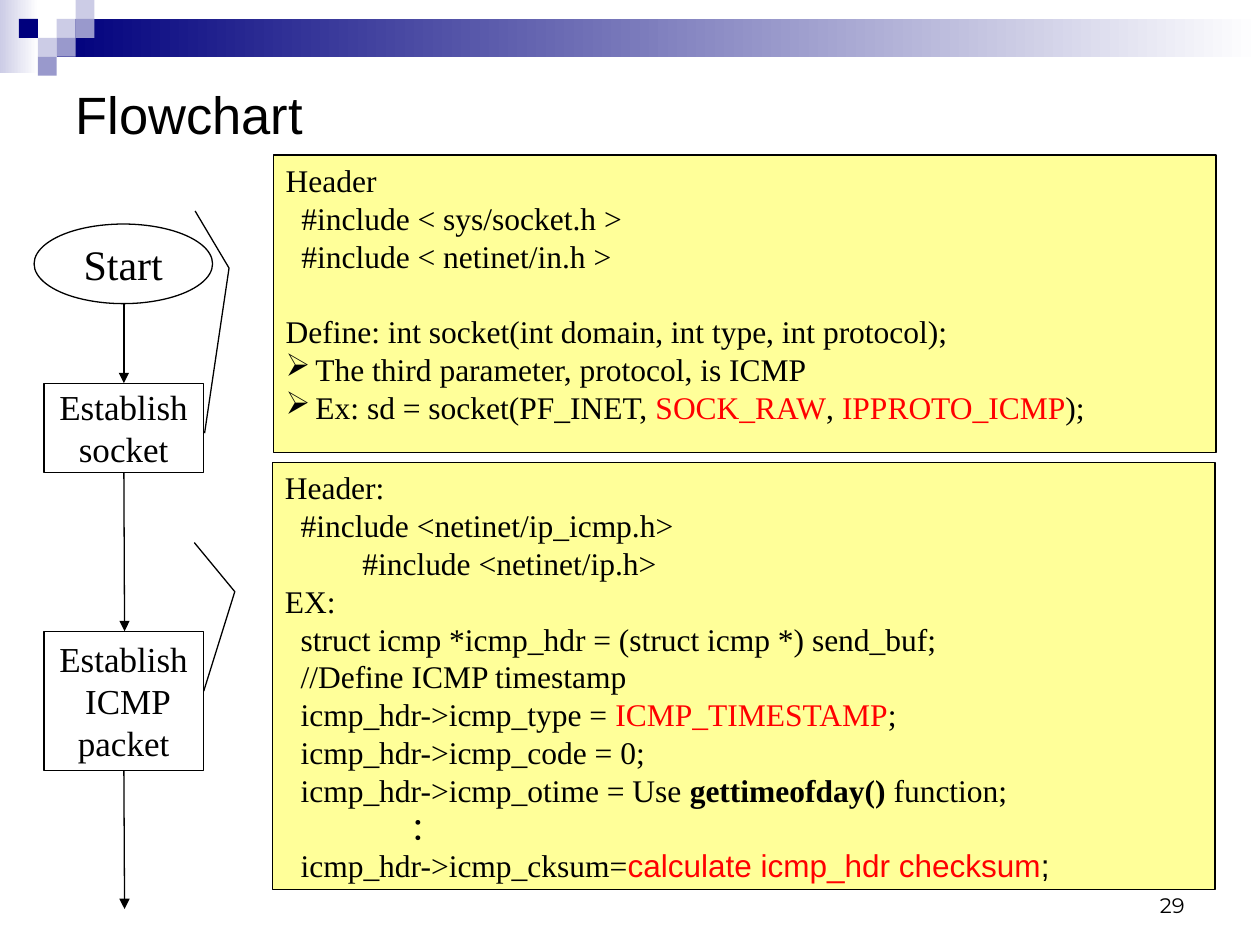
from lxml import etree
from pptx import Presentation
from pptx.dml.color import RGBColor
from pptx.enum import dml, shapes, text
from pptx.oxml.ns import qn
from pptx.util import Pt

BLACK, RED, WHITE, YELLOW = "000000", "FF0000", "FFFFFF", "FFFF99"
NAVY, LILAC, PALE = "00007D", "9999CC", "CCCCE6"
SERIF, SANS = "Times New Roman", "Arial"
rgb = RGBColor.from_string


def add_box(kind, left, top, width, height, fill, outline=None):
    box = slide.shapes.add_shape(kind, Pt(left), Pt(top), Pt(width), Pt(height))
    box.shadow.inherit = False
    if isinstance(fill, tuple):
        box.fill.gradient()
        box.fill.gradient_angle = 0
        for stop, color in zip(box.fill.gradient_stops, fill):
            stop.color.rgb = rgb(color)
    else:
        box.fill.solid()
        box.fill.fore_color.rgb = rgb(fill)
    if outline:
        box.line.color.rgb = rgb(outline)
        box.line.width = Pt(0.75)
    else:
        box.line.fill.background()
    return box


def add_run(paragraph, words, size, font=SERIF, color=BLACK, bold=None):
    run = paragraph.add_run()
    run.text = words
    run.font.size = Pt(size)
    run.font.name = font
    run.font.color.rgb = rgb(color)
    run.font.bold = bold


prs = Presentation()
prs.slide_width, prs.slide_height = Pt(720), Pt(540)
slide = prs.slides.add_slide(prs.slide_layouts[5])

# Banner: two fading bars and a mosaic of squares on a grid
RECT = shapes.MSO_SHAPE.RECTANGLE
add_box(RECT, 0, 0, 22, 42, (PALE, WHITE))
add_box(RECT, 32.4, 10.8, 687.6, 21.6, (NAVY, WHITE))
SQUARE = 10.8
for column, row, color in [(3, 1, PALE), (4, 0, PALE), (4, 1, LILAC), (2, 2, PALE),
                           (1, 1, NAVY), (3, 2, LILAC), (2, 3, LILAC)]:
    add_box(RECT, column * SQUARE, row * SQUARE, SQUARE, SQUARE, color)

# Title
title = slide.shapes.title
title.left, title.top, title.width, title.height = Pt(36), Pt(36), Pt(648), Pt(58)
title.text_frame.vertical_anchor = text.MSO_ANCHOR.MIDDLE
heading = title.text_frame.paragraphs[0]
heading.alignment = text.PP_ALIGN.LEFT
add_run(heading, "Flowchart", 30, SANS)

# Flowchart steps
PROCESS = shapes.MSO_SHAPE.FLOWCHART_PROCESS
steps = [
    (shapes.MSO_SHAPE.OVAL, 19.5, 128, 102, 45.5, 24, ["Start"]),
    (PROCESS, 25.2, 219, 91, 51, 20, ["Establish", "socket"]),
    (PROCESS, 25.2, 360.7, 91, 79.5, 20, ["Establish", " ICMP", "packet"]),
]
for kind, left, top, width, height, size, lines in steps:
    step = add_box(kind, left, top, width, height, WHITE, BLACK)
    frame = step.text_frame
    frame.word_wrap = False
    frame.vertical_anchor = text.MSO_ANCHOR.MIDDLE
    for i, line in enumerate(lines):
        paragraph = frame.add_paragraph() if i else frame.paragraphs[0]
        paragraph.alignment = text.PP_ALIGN.CENTER
        paragraph.line_spacing = Pt(size * 1.2)
        add_run(paragraph, line, size)

# Arrows between the steps
for start, end, end_x in [(173.5, 219, 70.8), (270, 360.7, 71.2), (440.2, 519.5, 71.2)]:
    arrow = slide.shapes.add_connector(shapes.MSO_CONNECTOR.STRAIGHT,
                                       Pt(70.8), Pt(start), Pt(end_x), Pt(end))
    arrow.line.color.rgb = rgb(BLACK)
    arrow.line.width = Pt(0.75)
    etree.SubElement(arrow.line._get_or_add_ln(), qn("a:tailEnd"), type="triangle")
    etree.SubElement(arrow._element.spPr, qn("a:effectLst"))

# Code callouts: each line is (style, runs), each run (words, format)
red = {"color": RED}
socket_lines = [
    ("plain", [("Header", {})]),
    ("plain", [("  #include < sys/socket.h >", {})]),
    ("plain", [("  #include < netinet/in.h >", {})]),
    ("gap", [("Define: int socket(int domain, int type, int protocol);", {})]),
    ("bullet", [("The third parameter, protocol, is ICMP", {})]),
    ("bullet", [("Ex: sd = socket(PF_INET, ", {}), ("SOCK_RAW", red), (", ", {}),
                ("IPPROTO_ICMP", red), (");", {})]),
]
packet_lines = [
    ("plain", [("Header:", {})]),
    ("plain", [("  #include <netinet/ip_icmp.h>", {})]),
    ("tab", [("\t  #include <netinet/ip.h>", {})]),
    ("plain", [("EX:", {})]),
    ("plain", [("  struct icmp *icmp_hdr = (struct icmp *) send_buf;", {})]),
    ("plain", [("  //Define ICMP timestamp", {})]),
    ("plain", [("  icmp_hdr->icmp_type = ", {}), ("ICMP_TIMESTAMP", red), (";", {})]),
    ("plain", [("  icmp_hdr->icmp_code = 0;", {})]),
    ("plain", [("  icmp_hdr->icmp_otime = Use ", {}),
               ("gettimeofday() ", {"bold": True}), ("function;", {})]),
    ("indent", [("：", {})]),
    ("plain", [("  icmp_hdr->icmp_cksum=", {}),
               ("calculate icmp_hdr checksum", {"font": SANS, "color": RED}),
               (";", {"font": SANS})]),
]
callouts = [
    (156.2, 88.6, 170, (0.188, -0.083, 0.38, -0.047, 0.935, -0.073), socket_lines),
    (155.7, 264.2, 244, (0.188, -0.083, 0.303, -0.04, 0.536, -0.073), packet_lines),
]
LINE = 21.6
for left, top, height, leader, lines in callouts:
    callout = add_box(shapes.MSO_SHAPE.LINE_CALLOUT_2, left, top, 538.6, height, YELLOW, BLACK)
    for i, value in enumerate(leader):
        callout.adjustments[i] = value
    frame = callout.text_frame
    frame.word_wrap = True
    frame.vertical_anchor = text.MSO_ANCHOR.TOP
    for i, (style, runs) in enumerate(lines):
        paragraph = frame.add_paragraph() if i else frame.paragraphs[0]
        paragraph.alignment = text.PP_ALIGN.LEFT
        paragraph.line_spacing = Pt(LINE)
        props = paragraph._p.get_or_add_pPr()
        if style == "gap":
            paragraph.space_before = Pt(LINE)
        elif style == "indent":
            props.set("marL", str(Pt(72)))
        elif style == "tab":
            tabs = etree.SubElement(props, qn("a:tabLst"))
            etree.SubElement(tabs, qn("a:tab"), pos=str(Pt(35.3)), algn="l")
        elif style == "bullet":
            props.set("marL", str(Pt(17)))
            props.set("indent", str(Pt(-17)))
            bullet_color = etree.SubElement(props, qn("a:buClr"))
            etree.SubElement(bullet_color, qn("a:srgbClr"), val=BLACK)
            etree.SubElement(props, qn("a:buChar"), char="➢")
        for words, look in runs:
            add_run(paragraph, words, 18, **look)

# Page number
page = slide.shapes.add_textbox(Pt(516), Pt(492), Pt(168), Pt(36))
page.text_frame.word_wrap = True
page.text_frame.vertical_anchor = text.MSO_ANCHOR.BOTTOM
number = page.text_frame.paragraphs[0]
number.alignment = text.PP_ALIGN.RIGHT
add_run(number, "29", 12, "Montserrat")

prs.save("out.pptx")
